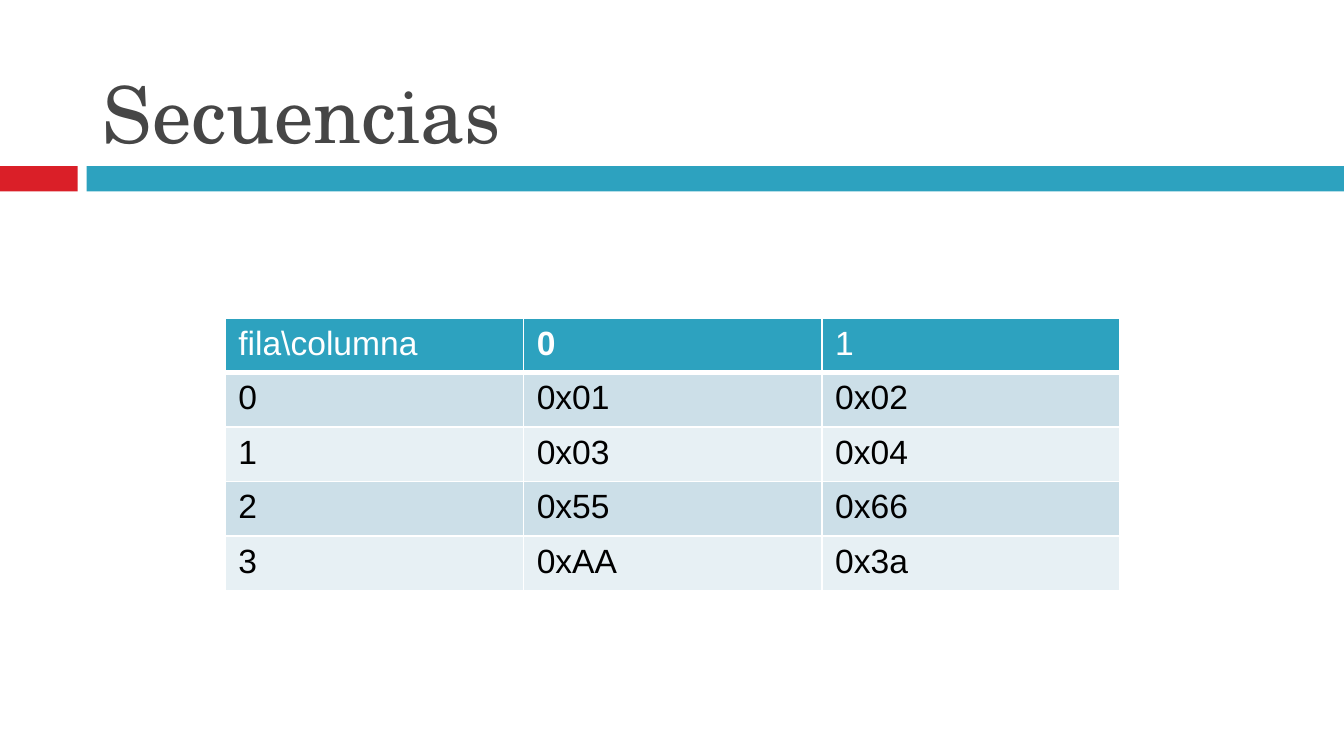
from lxml.etree import SubElement
from pptx import Presentation
from pptx.dml.color import RGBColor
from pptx.enum.shapes import MSO_SHAPE as Preset
from pptx.enum.text import MSO_ANCHOR as Anchor, PP_ALIGN as Align
from pptx.oxml.ns import qn
from pptx.util import Cm, Pt

RED, TEAL, GREY = "DA1F28", "2DA2BF", "464646"
WHITE, BLACK = "FFFFFF", "000000"
BANDS = ("CCDFE8", "E7F0F4")
SLIDE_WIDTH = 25.4

ROWS = [
    ("fila\\columna", "0", "1"),
    ("0", "0x01", "0x02"),
    ("1", "0x03", "0x04"),
    ("2", "0x55", "0x66"),
    ("3", "0xAA", "0x3a"),
]


def color(value):
    return RGBColor.from_string(value)


def add_text(paragraph, text, font_name, size, text_color, bold=False):
    run = paragraph.add_run()
    run.text = text
    run.font.name = font_name
    run.font.size = Pt(size)
    run.font.bold = bold
    run.font.color.rgb = color(text_color)


def add_title(slide, text):
    title = slide.shapes.title
    title.left, title.top = Cm(1.69), Cm(0.34)
    title.width, title.height = Cm(22.66), Cm(2.79)
    title.text_frame.vertical_anchor = Anchor.BOTTOM
    paragraph = title.text_frame.paragraphs[0]
    paragraph.alignment = Align.LEFT
    add_text(paragraph, text, "TeX Gyre Schola", 42, GREY)


def add_bar(slide, left, width, fill):
    bar = slide.shapes.add_shape(
        Preset.RECTANGLE, Cm(left), Cm(3.14), Cm(width), Cm(0.48))
    bar.shadow.inherit = False
    bar.fill.solid()
    bar.fill.fore_color.rgb = color(fill)
    bar.line.fill.background()


def set_borders(cell, bottom_width):
    """Draw white borders, placed before the fill as the schema requires."""
    properties = cell._tc.get_or_add_tcPr()
    widths = {"a:lnL": 1, "a:lnR": 1, "a:lnT": 1, "a:lnB": bottom_width}
    for position, (tag, width) in enumerate(widths.items()):
        line = SubElement(properties, qn(tag), w=str(Pt(width)))
        fill = SubElement(line, qn("a:solidFill"))
        SubElement(fill, qn("a:srgbClr"), val=WHITE)
        properties.insert(position, line)


def add_table(slide, rows):
    column_width, row_height = 5.64, 1.03
    column_count = len(rows[0])
    table = slide.shapes.add_table(
        len(rows), column_count, Cm(4.25), Cm(6.01),
        Cm(column_width * column_count), Cm(row_height * len(rows))).table
    for column in table.columns:
        column.width = Cm(column_width)
    for row_index, texts in enumerate(rows):
        table.rows[row_index].height = Cm(row_height)
        header = row_index == 0
        for column_index, text in enumerate(texts):
            cell = table.cell(row_index, column_index)
            cell.fill.solid()
            cell.fill.fore_color.rgb = color(
                TEAL if header else BANDS[(row_index - 1) % 2])
            # The rule under the header is thicker
            bottom_width = 3 if header else 1
            set_borders(cell, bottom_width)
            add_text(cell.text_frame.paragraphs[0], text, "Arial", 18,
                     WHITE if header else BLACK,
                     bold=header and column_index == 1)


def main():
    presentation = Presentation()
    presentation.slide_width = Cm(SLIDE_WIDTH)
    presentation.slide_height = Cm(14.29)
    slide = presentation.slides.add_slide(presentation.slide_layouts[5])

    # Title and the two-colour band below it
    add_bar(slide, 0, 1.47, RED)
    add_bar(slide, 1.64, SLIDE_WIDTH - 1.64, TEAL)
    add_title(slide, "Secuencias")

    # Sequence values by row and column
    add_table(slide, ROWS)

    presentation.save("out.pptx")


if __name__ == "__main__":
    main()
